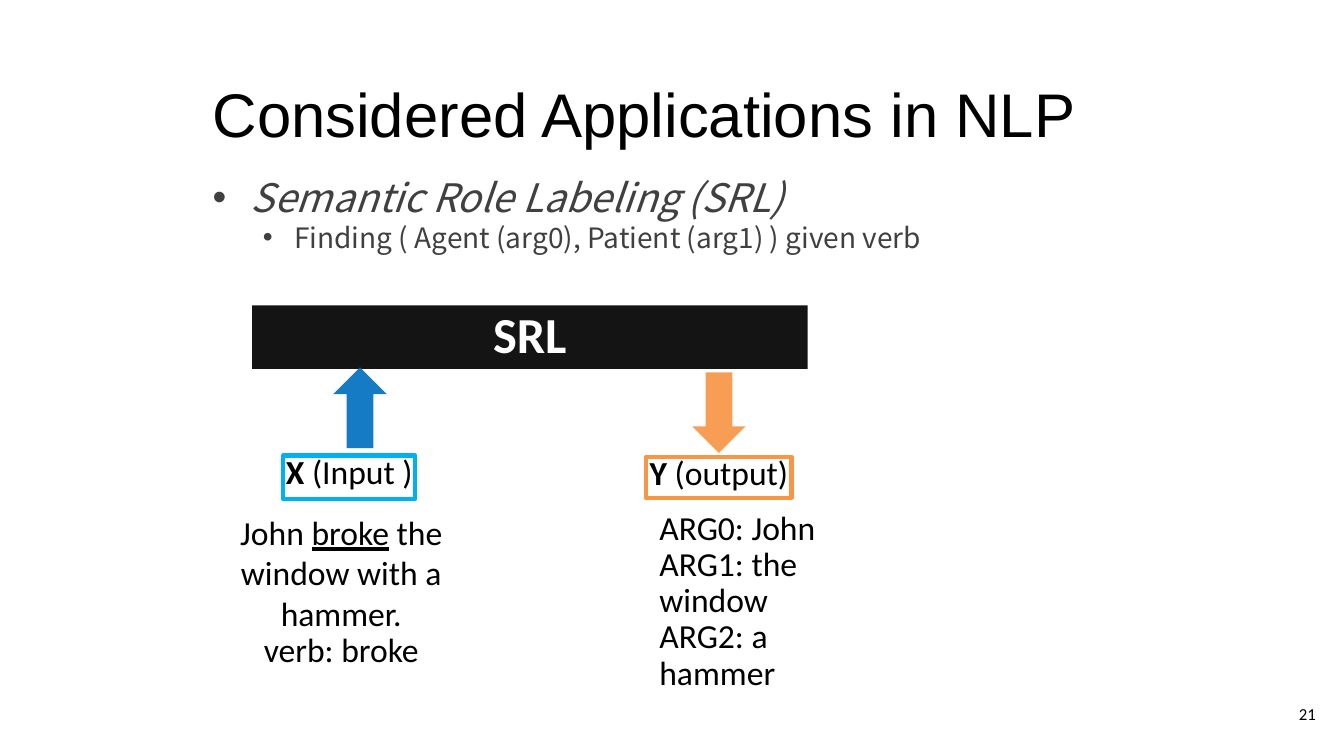
from pptx import Presentation
from pptx.dml.color import RGBColor
from pptx.enum.shapes import MSO_SHAPE
from pptx.enum.text import MSO_ANCHOR, PP_ALIGN
from pptx.oxml.ns import qn
from pptx.util import Pt
from lxml import etree

PX = 9144  # 100 px to the inch
COLORS = {
    "black": "000000", "white": "FFFFFF", "gray": "404040", "blue": "0070C0",
    "orange": "F79646", "sky": "00B0F0",
}
OPACITY = 92


def px(*lengths):
    return [length * PX for length in lengths]


def set_frame(shape, inset=(0, 0), anchor=MSO_ANCHOR.TOP, wrap=False):
    frame = shape.text_frame
    frame.word_wrap = wrap
    frame.vertical_anchor = anchor
    frame.margin_left = frame.margin_right = inset[0] * PX
    frame.margin_top = frame.margin_bottom = inset[1] * PX
    return frame


def write(frame, lines, size, color="black", font="Calibri",
          align=PP_ALIGN.LEFT, spacing=0.9):
    """Each line is a list of (text, style) runs; style holds b, i or u."""
    for index, runs in enumerate(lines):
        paragraph = frame.paragraphs[0] if index == 0 else frame.add_paragraph()
        paragraph.alignment = align
        paragraph.line_spacing = spacing
        for text, style in runs:
            add_run(paragraph, text, style, size, color, font)


def add_run(paragraph, text, style, size, color, font):
    run = paragraph.add_run()
    run.text = text
    run.font.name = font
    run.font.size = Pt(size)
    run.font.color.rgb = RGBColor.from_string(COLORS[color])
    run.font.bold = "b" in style
    run.font.italic = "i" in style
    run.font.underline = "u" in style
    properties = run.font._element
    for tag in ("a:ea", "a:cs"):
        etree.SubElement(properties, qn(tag)).set("typeface", font)


def add_text_box(slide, box, **frame_options):
    return set_frame(slide.shapes.add_textbox(*px(*box)), **frame_options)


def add_filled(slide, kind, box, color):
    shape = slide.shapes.add_shape(kind, *px(*box))
    shape.shadow.inherit = False
    shape.line.fill.background()
    shape.fill.solid()
    shape.fill.fore_color.rgb = RGBColor.from_string(COLORS[color])
    rgb = shape._element.spPr.find(qn("a:solidFill")).find(qn("a:srgbClr"))
    etree.SubElement(rgb, qn("a:alpha")).set("val", str(OPACITY * 1000))
    return shape


def add_title(slide, box):
    frame = add_text_box(slide, box, inset=(10, 10), wrap=True)
    write(frame, [[("Considered Applications in NLP", "")]], 44,
          font="Arial", spacing=1.0)


def add_bullets(slide, box):
    frame = add_text_box(slide, box, inset=(10, 10), wrap=True)
    bullets = [
        ("Semantic Role Labeling (SRL)", "i", 28, 0, 38, 38),
        ("Finding ( Agent (arg0), Patient (arg1) ) given verb", "", 20, 1, 81, 31),
    ]
    for index, (text, style, size, level, left, hanging) in enumerate(bullets):
        paragraph = frame.paragraphs[0] if index == 0 else frame.add_paragraph()
        paragraph.level = level
        properties = paragraph._element.get_or_add_pPr()
        properties.set("marL", str(left * PX))
        properties.set("indent", str(-hanging * PX))
        etree.SubElement(properties, qn("a:buFont")).set("typeface", "Arial")
        etree.SubElement(properties, qn("a:buChar")).set("char", "•")
        add_run(paragraph, text, style, size, "gray", "Noto Sans CJK KR")


def add_model_bar(slide, box):
    bar = add_filled(slide, MSO_SHAPE.RECTANGLE, box, "black")
    frame = set_frame(bar, (8, 4), MSO_ANCHOR.MIDDLE, True)
    write(frame, [[("SRL", "b")]], 36, "white", align=PP_ALIGN.CENTER)


def add_arrow(slide, box, color, rotation):
    arrow = add_filled(slide, MSO_SHAPE.RIGHT_ARROW, box, color)
    arrow.rotation = rotation


def add_label(slide, box, color, runs):
    label = slide.shapes.add_shape(MSO_SHAPE.RECTANGLE, *px(*box))
    label.shadow.inherit = False
    label.fill.background()
    label.line.color.rgb = RGBColor.from_string(COLORS[color])
    label.line.width = Pt(3)
    write(set_frame(label), [runs], 24, align=PP_ALIGN.CENTER)


def add_diagram(slide, left, top):
    """SRL bar with the input on its left and the output on its right."""
    add_model_bar(slide, (left, top, 551, 63))

    # Arrows into and out of the bar
    add_arrow(slide, (left + 67, top + 75, 80, 53), "blue", 270)
    add_arrow(slide, (left + 423, top + 80, 80, 53), "orange", 90)

    # Framed labels
    add_label(slide, (left + 391, top + 150, 144, 41), "orange",
              [("Y", "b"), (" (output)", "")])
    add_label(slide, (left + 31, top + 149, 131, 43), "sky",
              [("X ", "b"), ("(Input )", "")])

    # Example output
    roles = ["ARG0: John", "ARG1: the window", "ARG2: a hammer"]
    write(add_text_box(slide, (left + 404, top + 204, 223, 129)),
          [[(role, "")] for role in roles], 24)

    # Example input
    sentence = [("John ", ""), ("broke", "u"), (" the window with a hammer.", "")]
    frame = add_text_box(slide, (left - 23, top + 205, 223, 74))
    write(frame, [sentence, [("verb: broke", "")]], 24, align=PP_ALIGN.CENTER)
    frame.paragraphs[0].line_spacing = 1.0


def add_slide_number(slide, box):
    frame = add_text_box(slide, box, inset=(10, 10), anchor=MSO_ANCHOR.MIDDLE,
                         wrap=True)
    write(frame, [[("21", "")]], 12, align=PP_ALIGN.RIGHT, spacing=1.0)


def main():
    presentation = Presentation()
    presentation.slide_width, presentation.slide_height = px(1333, 750)
    slide = presentation.slides.add_slide(presentation.slide_layouts[6])
    add_slide_number(slide, (1235, 680, 80, 57))
    add_title(slide, (201, 65, 966, 84))
    add_bullets(slide, (201, 162, 932, 498))
    add_diagram(slide, 250, 303)
    presentation.save("out.pptx")


if __name__ == "__main__":
    main()
